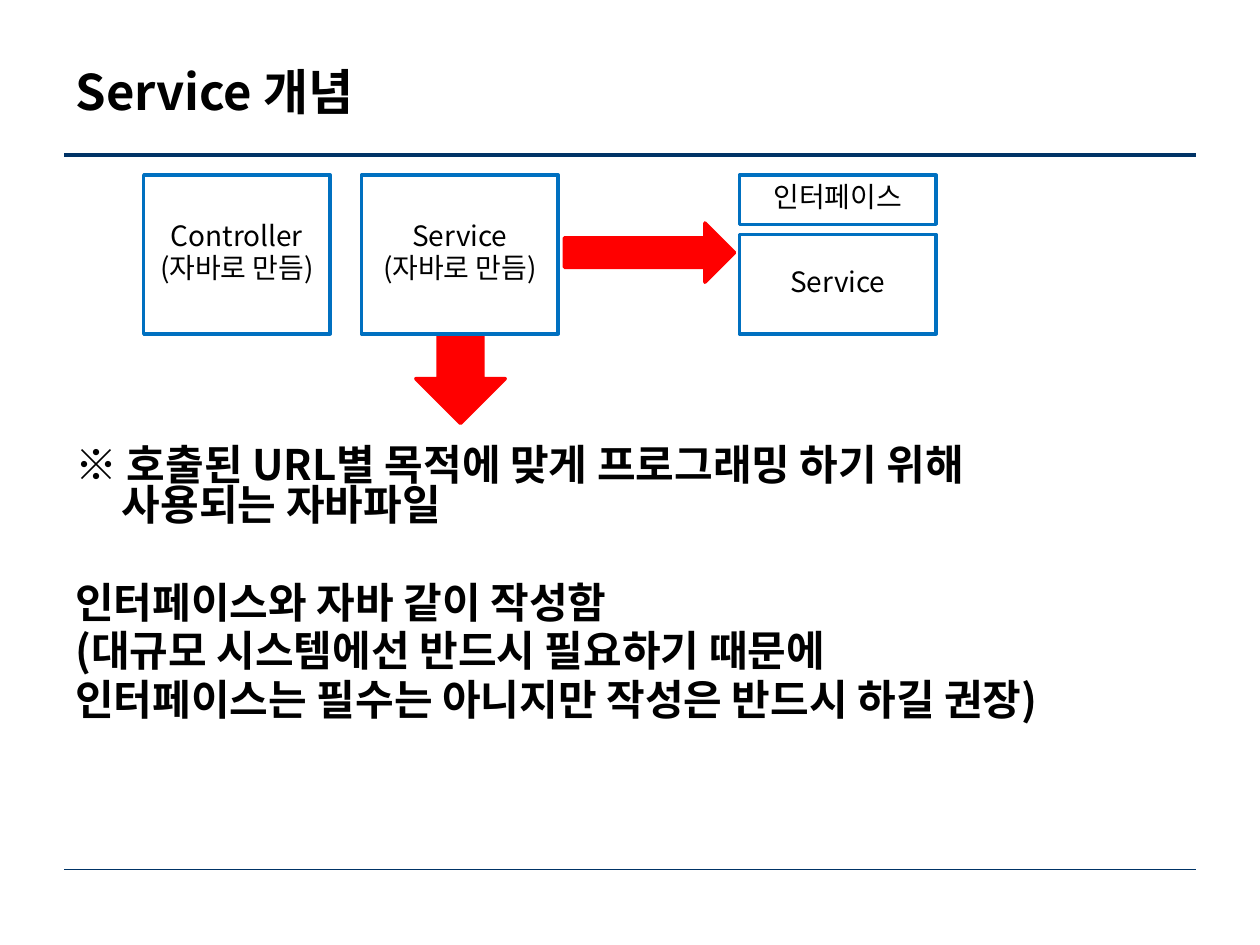
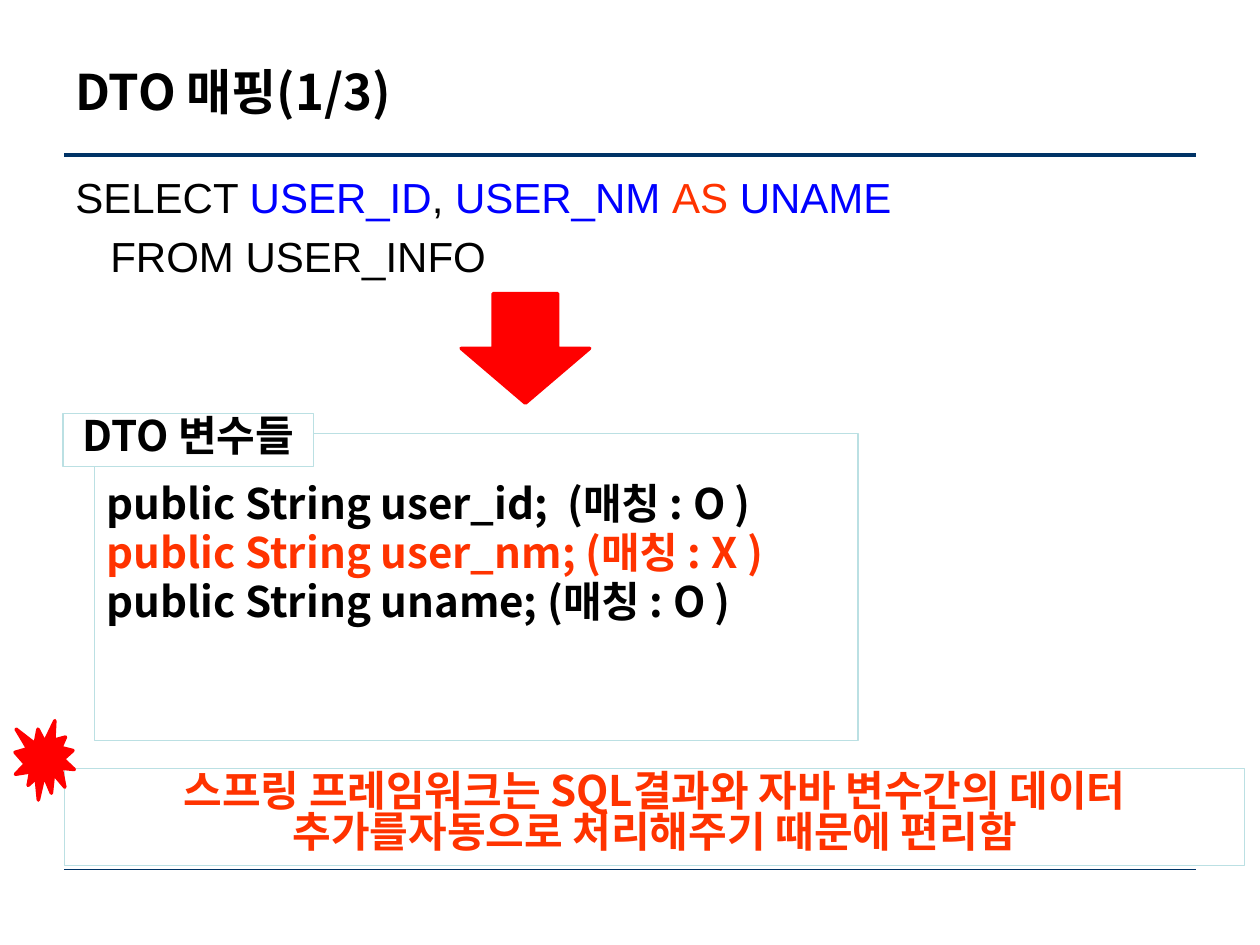
import lxml.etree
import pptx
import pptx.dml.color
import pptx.enum.shapes
import pptx.enum.text
import pptx.oxml.ns
import pptx.util

KOREAN_FONT = "Noto Sans CJK KR"
CODE_FONT = "Arial"
BLACK, WHITE, NAVY, RED = "000000", "FFFFFF", "003366", "FF0000"
BOX_BLUE, PALE_BLUE = "0070C0", "BBE0E3"
CODE_BLUE, ORANGE = "0000FF", "FF3300"

colour = pptx.dml.color.RGBColor.from_string
kinds = pptx.enum.shapes.MSO_SHAPE
align = pptx.enum.text.PP_ALIGN
anchor = pptx.enum.text.MSO_ANCHOR

presentation = pptx.Presentation()
presentation.slide_width = pptx.util.Inches(10)
presentation.slide_height = pptx.util.Inches(7.5)
column = presentation.slide_width // 100
row = presentation.slide_height // 75


def draw(slide, kind, cells, line, width, fill=None):
    left, top, columns, rows = cells
    shape = slide.shapes.add_shape(
        kind, int(left * column), int(top * row), int(columns * column), int(rows * row)
    )
    shape.shadow.inherit = False
    shape.line.color.rgb = colour(line)
    shape.line.width = pptx.util.Pt(width)
    if fill:
        shape.fill.solid()
        shape.fill.fore_color.rgb = colour(fill)
    else:
        shape.fill.background()
    return shape


def write(shape, text, size=24, tone=BLACK, bold=True, font=KOREAN_FONT,
          alignment=align.LEFT, middle=False, wrap=True, spacing=0.8):
    frame = shape.text_frame
    frame.text = text
    frame.word_wrap = wrap
    frame.auto_size = pptx.enum.text.MSO_AUTO_SIZE.NONE
    frame.vertical_anchor = anchor.MIDDLE if middle else anchor.TOP
    for number, paragraph in enumerate(frame.paragraphs):
        paragraph.alignment = alignment
        paragraph.line_spacing = spacing
        paragraph.space_before = pptx.util.Pt(size * 0.2 if number else 0)
        for run in paragraph.runs:
            run.font.size = pptx.util.Pt(size)
            run.font.bold = bold
            run.font.color.rgb = colour(tone)
            run.font.name = font
            east_asian = lxml.etree.SubElement(
                run.font._element, pptx.oxml.ns.qn("a:ea")
            )
            east_asian.set("typeface", font)
    return frame.paragraphs


slides = []
for title in ("Service 개념", "DTO 매핑(1/3)"):
    slide = presentation.slides.add_slide(presentation.slide_layouts[5])
    for level, width in ((69, 0.75), (12.3, 2)):
        rule = slide.shapes.add_connector(
            pptx.enum.shapes.MSO_CONNECTOR.STRAIGHT,
            int(5.1 * column), int(level * row), int(94.9 * column), int(level * row),
        )
        rule.line.color.rgb = colour(NAVY)
        rule.line.width = pptx.util.Pt(width)
        lxml.etree.SubElement(rule._element.spPr, pptx.oxml.ns.qn("a:effectLst"))
    heading = slide.shapes.title
    heading.left, heading.top = 5 * column, 3 * row
    heading.width, heading.height = 90 * column, int(8.5 * row)
    write(heading, title, size=28, middle=True, spacing=1)
    slides.append(slide)

service_slide, mapping_slide = slides

draw(service_slide, kinds.DOWN_ARROW, (33, 26.5, 7.1, 7.1), RED, 2, RED)
explanation = service_slide.shapes.add_textbox(
    5 * column, int(35.1 * row), int(86.7 * column), int(23.6 * row)
)
paragraphs = write(
    explanation,
    "※ 호출된 URL별 목적에 맞게 프로그래밍 하기 위해\v사용되는 자바파일\n"
    "인터페이스와 자바 같이 작성함\n"
    "(대규모 시스템에선 반드시 필요하기 때문에\n"
    "인터페이스는 필수는 아니지만 작성은 반드시 하길 권장)",
)
hanging = int(3.7 * column)
properties = paragraphs[0]._p.get_or_add_pPr()
properties.set("marL", str(hanging))
properties.set("indent", str(-hanging))
paragraphs[1].space_before = pptx.util.Pt(32.5)

for label, cells in (
    ("Controller\n(자바로 만듬)", (11.4, 13.9, 14.8, 12.6)),
    ("Service\n(자바로 만듬)", (28.7, 13.9, 15.6, 12.6)),
    ("인터페이스", (58.7, 13.9, 15.6, 3.9)),
    ("Service", (58.7, 18.6, 15.6, 7.9)),
):
    component = draw(service_slide, kinds.RECTANGLE, cells, BOX_BLUE, 2)
    write(component, label, size=16, bold=False, alignment=align.CENTER,
          middle=True, wrap=False)
draw(service_slide, kinds.RIGHT_ARROW, (44.8, 17.7, 13.5, 4.7), RED, 2, RED)

query = mapping_slide.shapes.add_textbox(
    5 * column, int(13.1 * row), int(89.9 * column), int(53.9 * row)
)
select_line = write(query, "SELECT \n   FROM USER_INFO", bold=False,
                    font=CODE_FONT, spacing=1)[0]
for words, tone in (
    ("USER_ID", CODE_BLUE),
    (", ", BLACK),
    ("USER_NM ", CODE_BLUE),
    ("AS", ORANGE),
    (" UNAME", CODE_BLUE),
):
    run = select_line.add_run()
    run.text = words
    run.font.size = pptx.util.Pt(24)
    run.font.name = CODE_FONT
    run.font.color.rgb = colour(tone)

draw(mapping_slide, kinds.DOWN_ARROW, (36.6, 23.3, 10.2, 8.7), RED, 2, RED)

variables = draw(mapping_slide, kinds.RECTANGLE, (7.5, 34.4, 60.6, 24.4), PALE_BLUE, 0.75)
variables.text_frame.margin_top = int(4.3 * row)
paragraphs = write(
    variables,
    "public String user_id;  (매칭 : O )\n"
    "public String user_nm; (매칭 : X )\n"
    "public String uname; (매칭 : O )",
)
paragraphs[1].runs[0].font.color.rgb = colour(ORANGE)

tag = draw(mapping_slide, kinds.RECTANGLE, (5, 32.8, 19.9, 4.2), PALE_BLUE, 0.75, WHITE)
write(tag, "DTO 변수들", alignment=align.CENTER, wrap=False)

summary = draw(mapping_slide, kinds.RECTANGLE, (5.1, 61, 93.7, 7.7), PALE_BLUE, 0.75)
write(
    summary,
    "스프링 프레임워크는 SQL결과와 자바 변수간의 데이터 추가를자동으로 처리해주기 때문에 편리함",
    tone=ORANGE, alignment=align.CENTER,
)
draw(mapping_slide, kinds.EXPLOSION1, (1.2, 57.2, 4.7, 6.3), RED, 2, RED)

presentation.save("out.pptx")
